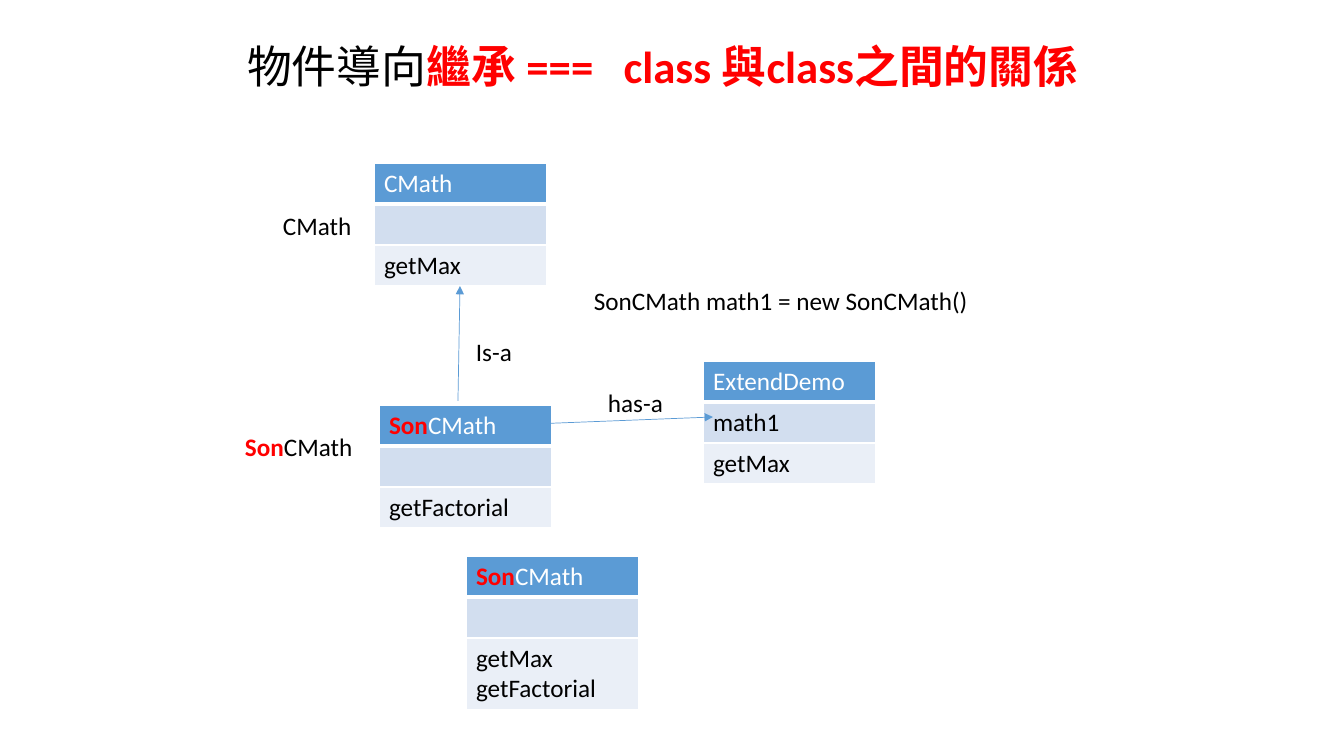
from lxml import etree
from pptx import Presentation
from pptx import util as u
from pptx.dml.color import RGBColor
from pptx.enum import shapes, text
from pptx.oxml import ns

BLACK = RGBColor(0x00, 0x00, 0x00)
WHITE = RGBColor(0xFF, 0xFF, 0xFF)
RED = RGBColor(0xFF, 0x00, 0x00)
BLUE = RGBColor(0x5B, 0x9B, 0xD5)
BAND_DARK = RGBColor(0xD2, 0xDE, 0xEF)
BAND_LIGHT = RGBColor(0xEA, 0xEF, 0xF7)
ROW_FILLS = [BLUE, BAND_DARK, BAND_LIGHT]

FONT = "Calibri"
ROW_H, TWO_LINE_H, CLASS_W, LABEL_H = 41, 70, 173, 40

TITLE = ("物件導向", "繼承 ===   class 與class之間的關係")
TITLE_BOX = (237, 40, 869, 69)
CLASSES = [
    (374, 163, ("CMath", ""), [], ["getMax"]),
    (379, 405, ("CMath", "Son"), [], ["getFactorial"]),
    (703, 361, ("ExtendDemo", ""), ["math1"], ["getMax"]),
    (466, 556, ("CMath", "Son"), [], ["getMax", "getFactorial"]),
]
LABELS = [
    (273, 205, 90, ("CMath", "")),
    (235, 426, 128, ("CMath", "Son")),
    (466, 331, 56, ("Is-a", "")),
    (584, 280, 399, ("SonCMath math1 = new SonCMath()", "")),
    (598, 382, 76, ("has-a", "")),
]
ARROWS = [(458, 401, 460, 286), (507, 425, 713, 417)]


def px(n):
    return u.Emu(round(n * 914400 / 100.8))


def add_run(p, words, color, bold=False):
    r = p.add_run()
    r.text = words
    r.font.color.rgb = color
    r.font.bold = bold


def write_name(p, name, color):
    base, prefix = name
    p.font.size, p.font.name = u.Pt(18), FONT
    if prefix:
        add_run(p, prefix, RED, True)
    add_run(p, base, color)


def set_borders(cell, row):
    tc_pr = cell._tc.get_or_add_tcPr()
    for side in "LRTB":
        if row == 1 and side == "T":
            continue
        width = 3 if row == 0 and side == "B" else 1
        ln = etree.SubElement(tc_pr, ns.qn("a:ln" + side), w=str(u.Pt(width)))
        fill = etree.SubElement(ln, ns.qn("a:solidFill"))
        etree.SubElement(fill, ns.qn("a:srgbClr"), val=str(WHITE))


def add_class(sp, x, y, name, fields, methods):
    heights = [ROW_H, ROW_H, TWO_LINE_H if len(methods) > 1 else ROW_H]
    frame = sp.add_table(3, 1, px(x), px(y), px(CLASS_W), px(sum(heights)))
    table = frame.table
    table.first_row = table.horz_banding = False
    sections = [[name], [(f, "") for f in fields], [(m, "") for m in methods]]
    for row, (height, lines) in enumerate(zip(heights, sections)):
        table.rows[row].height = px(height)
        cell = table.cell(row, 0)
        set_borders(cell, row)
        cell.fill.solid()
        cell.fill.fore_color.rgb = ROW_FILLS[row]
        tf = cell.text_frame
        tf.paragraphs[0].font.size = u.Pt(18)
        for i, line in enumerate(lines):
            p = tf.add_paragraph() if i else tf.paragraphs[0]
            write_name(p, line, BLACK if row else WHITE)


def add_label(sp, x, y, w, name):
    tf = sp.add_textbox(px(x), px(y), px(w), px(LABEL_H)).text_frame
    tf.word_wrap = False
    tf.auto_size = text.MSO_AUTO_SIZE.SHAPE_TO_FIT_TEXT
    write_name(tf.paragraphs[0], name, BLACK)


def add_arrow(sp, *ends):
    arrow = sp.add_connector(shapes.MSO_CONNECTOR.STRAIGHT, *map(px, ends))
    arrow.line.color.rgb = BLUE
    arrow.line.width = u.Pt(0.5)
    etree.SubElement(arrow.line._get_or_add_ln(), ns.qn("a:tailEnd"), type="triangle")
    etree.SubElement(arrow._element.spPr, ns.qn("a:effectLst"))


def add_title(title):
    title.left, title.top, title.width, title.height = map(px, TITLE_BOX)
    tf = title.text_frame
    tf.word_wrap = True
    tf.auto_size = text.MSO_AUTO_SIZE.NONE
    tf.vertical_anchor = text.MSO_ANCHOR.TOP
    p = tf.paragraphs[0]
    p.alignment = text.PP_ALIGN.LEFT
    p.line_spacing = 0.9
    p.font.size, p.font.name = u.Pt(32), FONT
    add_run(p, TITLE[0], BLACK)
    add_run(p, TITLE[1], RED, True)


def main():
    prs = Presentation()
    prs.slide_width, prs.slide_height = px(1344), px(756)
    slide = prs.slides.add_slide(prs.slide_layouts[5])
    sp = slide.shapes
    add_title(sp.title)
    for item in CLASSES:
        add_class(sp, *item)
    for item in ARROWS:
        add_arrow(sp, *item)
    for item in LABELS:
        add_label(sp, *item)
    prs.save("out.pptx")


if __name__ == "__main__":
    main()
